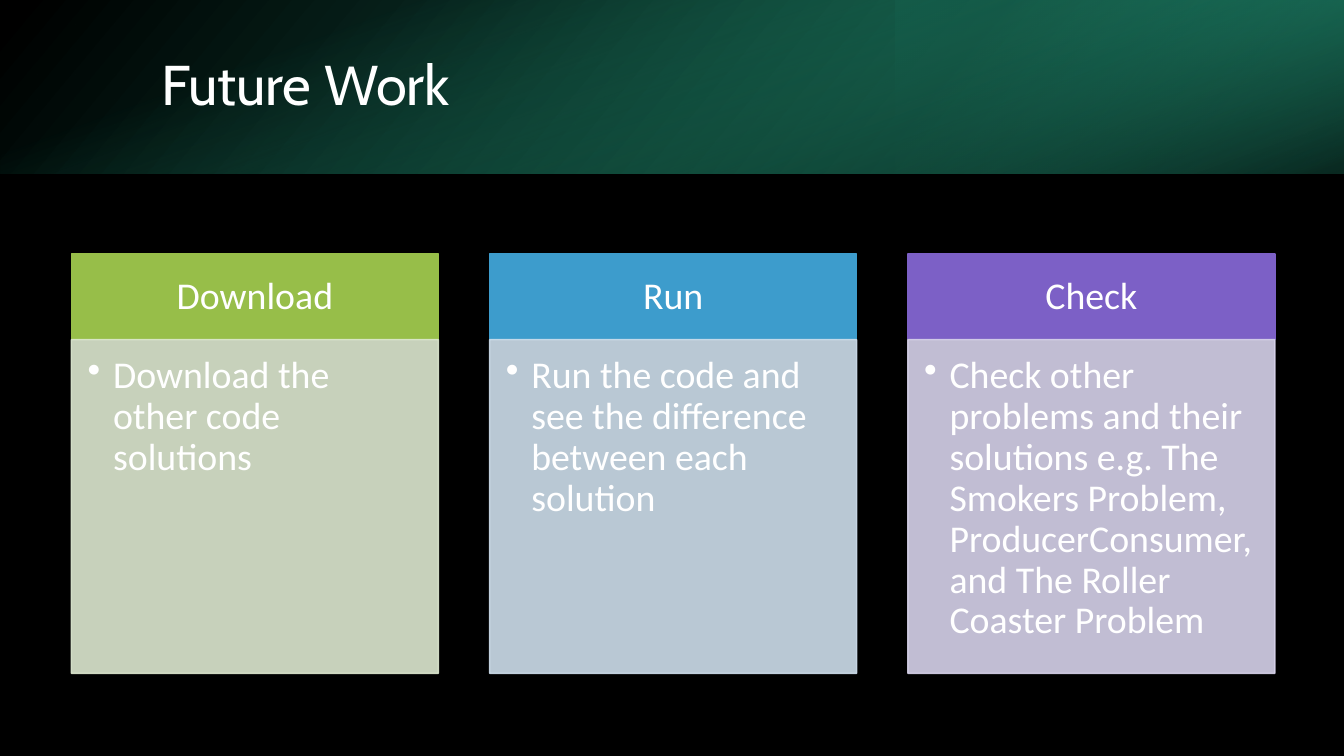
"""Build the "Future Work" slide: a gradient header band above three step cards."""
from lxml.etree import SubElement
from pptx import Presentation
from pptx.dml.color import RGBColor
from pptx.enum.shapes import MSO_SHAPE
from pptx.enum.text import MSO_ANCHOR as Anchor, PP_ALIGN as Align
from pptx.oxml.ns import qn
from pptx.util import Cm, Pt

COLORS = {
    "black": "000000", "white": "FFFFFF",
    "deep_green": "1F8369", "dark_teal": "155746", "teal": "29AF8C",
    "lime": "97BE49", "pale_lime": "DDE8D0",
    "blue": "3D9CCC", "pale_blue": "CEDEEC",
    "purple": "7C60C6", "pale_purple": "D7D2EA",
}
SLIDE_W, SLIDE_H, BAND_H = 33.87, 19.05, 4.38
CARD_LEFT, CARD_TOP, CARD_W, CARD_PITCH = 1.8, 6.4, 9.25, 10.54
HEAD_H, BODY_H = 2.16, 8.41


def rgb(name):
    return RGBColor.from_string(COLORS[name])


def add_box(bounds, stops, angle=0, rotation=0, flip=False, outlined=False):
    """Add a rectangle; each stop is (position, color, opacity), all in percent."""
    box = slide.shapes.add_shape(MSO_SHAPE.RECTANGLE, *map(Cm, bounds))
    box.shadow.inherit = False
    box.rotation = rotation
    if flip:
        box._element.spPr.xfrm.set("flipH", "1")
    if len(stops) == 1:
        box.fill.solid()
        box.fill.fore_color.rgb = rgb(stops[0][1])
    else:
        box.fill.gradient()
        box.fill.gradient_angle = 360 - angle
        for gradient_stop, (position, color, _) in zip(box.fill.gradient_stops, stops):
            gradient_stop.position = position / 100
            gradient_stop.color.rgb = rgb(color)
    if outlined:
        box.line.color.rgb = rgb(stops[0][1])
        box.line.width = Pt(1)
    else:
        box.line.fill.background()
    opacities = [opacity for _, _, opacity in stops] + [stops[0][2]] * outlined
    for color_node, opacity in zip(box._element.spPr.iter(qn("a:srgbClr")), opacities):
        if opacity < 100:
            SubElement(color_node, qn("a:alpha"), val=str(opacity * 1000))
    return box


def write(shape, text, font="Calibri", size=27, align=Align.LEFT, anchor=Anchor.MIDDLE,
          insets=(0.25, 0.13, 0.25, 0.13), bullet=False):
    frame = shape.text_frame
    frame.word_wrap = True
    frame.vertical_anchor = anchor
    (frame.margin_left, frame.margin_top,
     frame.margin_right, frame.margin_bottom) = map(Cm, insets)
    paragraph = frame.paragraphs[0]
    paragraph.alignment = align
    paragraph.line_spacing = 0.9
    run = paragraph.add_run()
    run.text = text
    run.font.name = font
    run.font.size = Pt(size)
    run.font.color.rgb = rgb("white")
    if bullet:
        properties = paragraph._p.get_or_add_pPr()
        properties.set("marL", str(Cm(0.64)))
        properties.set("indent", str(-Cm(0.64)))
        SubElement(properties, qn("a:buChar"), char="•")


deck = Presentation()
deck.slide_width, deck.slide_height = Cm(SLIDE_W), Cm(SLIDE_H)
slide = deck.slides.add_slide(deck.slide_layouts[6])
slide.background.fill.solid()
slide.background.fill.fore_color.rgb = rgb("black")

add_box((0, 0, SLIDE_W, BAND_H),
        [(0, "black", 96), (100, "deep_green", 100)], angle=140, flip=True)
add_box((SLIDE_W * 2 / 3, 0, SLIDE_W / 3, BAND_H),
        [(19, "dark_teal", 68), (100, "teal", 79)], angle=320, rotation=180, flip=True)
turned_offset = (SLIDE_W - BAND_H) / 2
add_box((turned_offset, -turned_offset, BAND_H, SLIDE_W),
        [(23, "teal", 0), (99, "black", 74)], angle=340, rotation=90)

title = slide.shapes.add_textbox(Cm(3.81), Cm(0.97), Cm(27.89), Cm(2.44))
write(title, "Future Work", font="Cabin", size=40)

steps = [
    ("Download", "Download the other code solutions", "lime"),
    ("Run", "Run the code and see the difference between each solution", "blue"),
    ("Check", "Check other problems and their solutions e.g. The Smokers Problem, "
              "ProducerConsumer, and The Roller Coaster Problem", "purple"),
]
for index, (heading, detail, color) in enumerate(steps):
    left = CARD_LEFT + index * CARD_PITCH
    head = add_box((left, CARD_TOP, CARD_W, HEAD_H), [(0, color, 100)], outlined=True)
    write(head, heading, align=Align.CENTER, insets=(0.53, 0.3, 0.53, 0.3))
    body = add_box((left, CARD_TOP + HEAD_H, CARD_W, BODY_H),
                   [(0, f"pale_{color}", 90)], outlined=True)
    write(body, detail, anchor=Anchor.TOP, insets=(0.41, 0.41, 0.53, 0.61), bullet=True)

deck.save("out.pptx")
